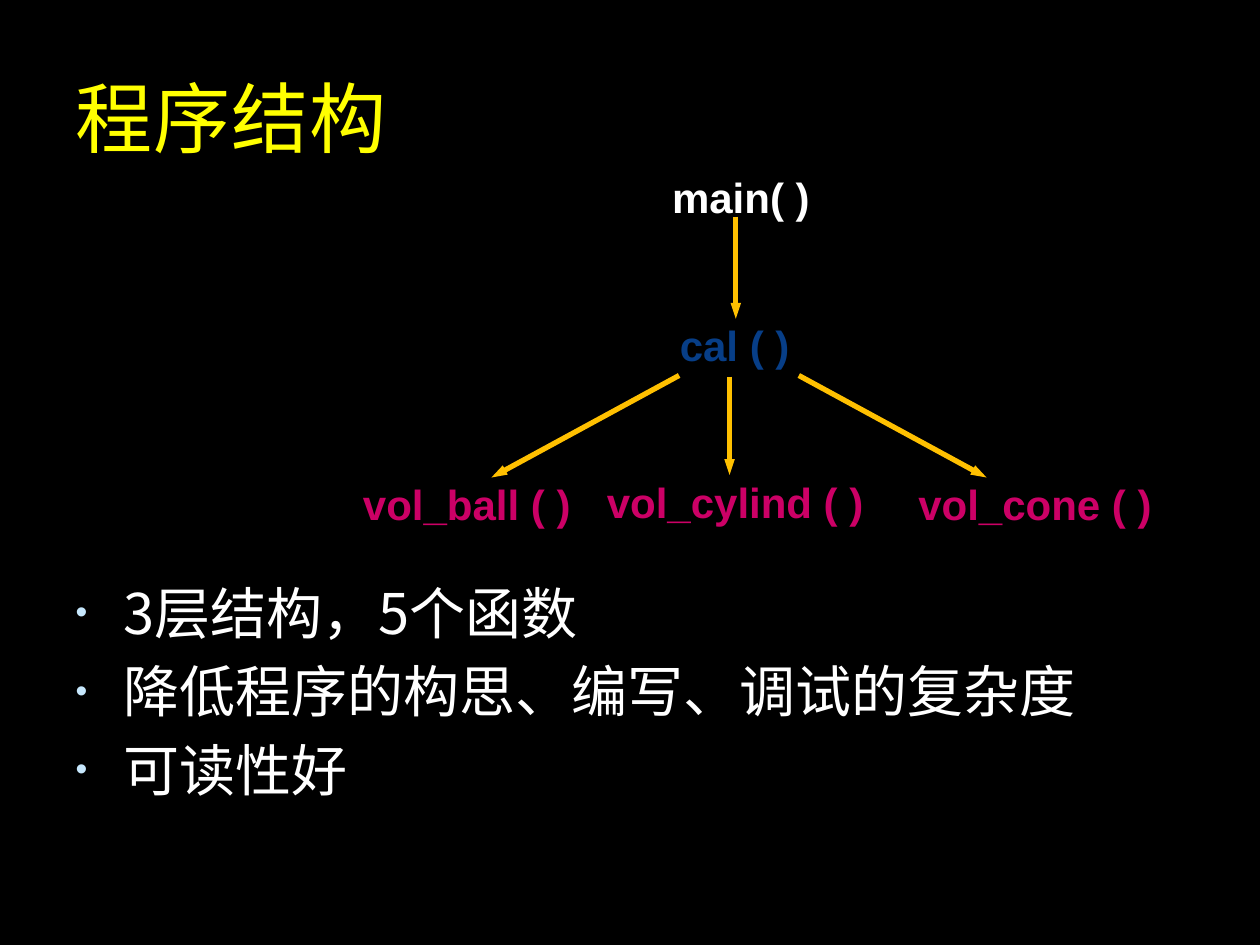
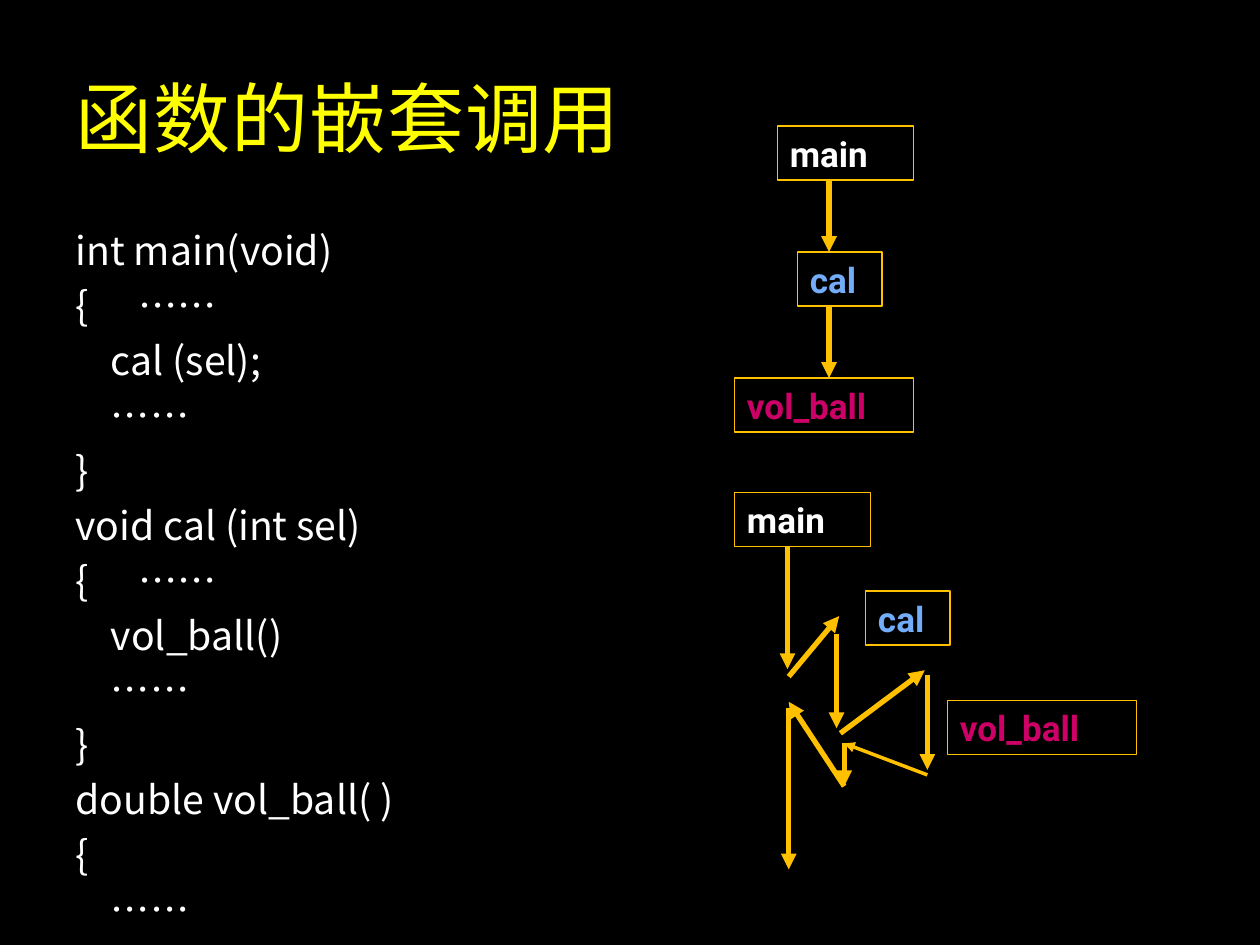
import dataclasses

import pptx
import pptx.dml.color
import pptx.enum.shapes
import pptx.enum.text
import pptx.oxml
import pptx.oxml.ns
import pptx.util

Inches = pptx.util.Inches
Pt = pptx.util.Pt
ALIGN = pptx.enum.text.PP_ALIGN
ANCHOR = pptx.enum.text.MSO_ANCHOR


@dataclasses.dataclass(frozen=True)
class Theme:
    background: str = "000000"
    title: str = "FFFF00"
    text: str = "FFFFFF"
    bullet: str = "C6E7FC"
    accent: str = "FFC000"
    cal_dark: str = "073E87"
    cal_light: str = "73ACF8"
    volume: str = "CC0066"
    title_font: str = "Calibri"
    body_font: str = "Noto Sans CJK SC"
    tree_font: str = "Arial"
    box_font: str = "Roboto"
    title_size: float = 44
    list_size: float = 32
    code_size: float = 22.4
    tree_size: float = 24
    box_size: float = 20


THEME = Theme()


def rgb(color):
    return pptx.dml.color.RGBColor.from_string(color)


def add_xml(parent, tag, **attrs):
    child = pptx.oxml.ns.qn(tag)
    element = parent.makeelement(child, {k: str(v) for k, v in attrs.items()})
    parent.append(element)
    return element


def set_all(target, values):
    for name, value in values.items():
        setattr(target, name, value)


def add_run(p, text, font, size, color, bold=False):
    r = p.add_run()
    r.text = text
    set_all(r.font, {"name": font, "size": Pt(size), "bold": bold})
    r.font.color.rgb = rgb(color)
    return r


def use_east_asian_font(r):
    add_xml(r.font._element, "a:ea", typeface=THEME.body_font)


def place(sp, left, top, width, height):
    set_all(sp, {"left": Inches(left), "top": Inches(top),
                 "width": Inches(width), "height": Inches(height)})


def add_slide(prs, title):
    s = prs.slides.add_slide(prs.slide_layouts[1])
    sp = s.shapes.title
    place(sp, 0.5, 0.3, 8.5, 1.25)
    tf = sp.text_frame
    set_all(tf, {"vertical_anchor": ANCHOR.MIDDLE, "word_wrap": True,
                 "auto_size": pptx.enum.text.MSO_AUTO_SIZE.NONE})
    p = tf.paragraphs[0]
    p.alignment = ALIGN.LEFT
    r = add_run(p, title, THEME.title_font, THEME.title_size, THEME.title)
    r.font._element.set("spc", "50")
    use_east_asian_font(r)
    return s


def fill_body(s, box, lines, size, style_paragraph):
    sp = s.placeholders[1]
    place(sp, *box)
    tf = sp.text_frame
    set_all(tf, {"vertical_anchor": ANCHOR.TOP, "word_wrap": True,
                 "auto_size": pptx.enum.text.MSO_AUTO_SIZE.NONE})
    for i, line in enumerate(lines):
        p = tf.add_paragraph() if i else tf.paragraphs[0]
        set_all(p, {"alignment": ALIGN.LEFT, "line_spacing": Pt(1.2 * size),
                    "space_before": Pt(0.2 * size)})
        text = style_paragraph(p, line)
        use_east_asian_font(add_run(p, text, THEME.body_font, size, THEME.text))


def set_indent(p, left, first=0):
    pPr = p._p.get_or_add_pPr()
    pPr.set("marL", str(Inches(left)))
    pPr.set("indent", str(Inches(first)))
    return pPr


def style_bullet(p, text):
    pPr = set_indent(p, 0.38, -0.38)
    add_xml(add_xml(pPr, "a:buClr"), "a:srgbClr", val=THEME.bullet)
    add_xml(pPr, "a:buSzPct", val=60000)
    add_xml(pPr, "a:buFont", typeface=THEME.tree_font)
    add_xml(pPr, "a:buChar", char="•")
    return text


def style_code(p, line):
    indent, text, tab = line
    pPr = set_indent(p, indent)
    add_xml(pPr, "a:buNone")
    if tab:
        add_xml(add_xml(pPr, "a:tabLst"), "a:tab", pos=Inches(tab), algn="l")
    return text


def add_box(s, box, text, color, line, font, size, align):
    sp = s.shapes.add_shape(pptx.enum.shapes.MSO_SHAPE.RECTANGLE,
                            *[Inches(v) for v in box])
    sp.shadow.inherit = False
    sp.fill.background()
    sp.line.color.rgb = rgb(line)
    sp.line.width = Pt(0.75)
    tf = sp.text_frame
    set_all(tf, {"vertical_anchor": ANCHOR.TOP, "word_wrap": True})
    p = tf.paragraphs[0]
    p.alignment = align
    add_run(p, text, font, size, color, bold=True)


def add_tree_label(s, box, text, color):
    add_box(s, box, text, color, THEME.background,
            THEME.tree_font, THEME.tree_size, ALIGN.CENTER)


def add_call_box(s, left, top, width, text, color):
    add_box(s, (left, top, width, 0.43), text, color, THEME.accent,
            THEME.box_font, THEME.box_size, ALIGN.LEFT)


def add_arrow(s, x1, y1, x2, y2, width=3, head="med"):
    cn = s.shapes.add_connector(pptx.enum.shapes.MSO_CONNECTOR.STRAIGHT,
                                *[Inches(v) for v in (x1, y1, x2, y2)])
    cn.line.color.rgb = rgb(THEME.accent)
    cn.line.width = Pt(width)
    add_xml(cn.line._get_or_add_ln(), "a:tailEnd", type="triangle", w=head, len="med")
    add_xml(cn._element.spPr, "a:effectLst")


def build_structure(prs):
    s = add_slide(prs, "程序结构")
    points = ["3层结构，5个函数", "降低程序的构思、编写、调试的复杂度", "可读性好"]
    fill_body(s, (0.5, 4.54, 9, 2.16), points, THEME.list_size, style_bullet)
    labels = [
        ((4.97, 1.31, 1.82, 0.81), "main( )", THEME.text),
        ((4.92, 2.49, 1.82, 0.81), "cal ( )", THEME.cal_dark),
        ((2.64, 3.75, 2.13, 0.65), "vol_ball ( )", THEME.volume),
        ((4.7, 3.73, 2.27, 0.59), "vol_cylind ( )", THEME.volume),
        ((7.03, 3.75, 2.37, 0.65), "vol_cone ( )", THEME.volume),
    ]
    for label in labels:
        add_tree_label(s, *label)
    for ends in [(5.84, 1.72, 5.84, 2.53), (5.39, 2.98, 3.9, 3.79),
                 (5.79, 2.99, 5.79, 3.77), (6.34, 2.98, 7.83, 3.79)]:
        add_arrow(s, *ends, head="sm")


def build_nested_calls(prs):
    s = add_slide(prs, "函数的嵌套调用")
    step = 0.28
    code = [
        (0, "int main(void)", None),
        (0, "{\t……", 0.31),
        (step, "cal (sel);", None),
        (step, "……", None),
        (0, "}", None),
        (0, "void cal (int sel)", None),
        (0, "{\t……", 1),
        (step, "vol_ball()", None),
        (step, "……", None),
        (0, "}", None),
        (0, "double vol_ball( )", None),
        (0, "{", None),
        (step, "……", None),
    ]
    fill_body(s, (0.5, 1.75, 4.26, 5.62), code, THEME.code_size, style_code)

    functions = [("main", THEME.text), ("cal", THEME.cal_light),
                 ("vol_ball", THEME.volume)]
    chain = [(6.17, 1, 1.08), (6.33, 2, 0.67), (5.83, 3, 1.42)]
    timeline = [(5.83, 3.91, 1.08), (6.87, 4.69, 0.67), (7.52, 5.56, 1.5)]
    for boxes in (chain, timeline):
        for box, function in zip(boxes, functions):
            add_call_box(s, *box, *function)

    for top in (1.42, 2.42):
        add_arrow(s, 6.58, top, 6.58, top + 0.58)
    for ends in [(6.25, 4.34, 6.25, 5.31), (6.26, 5.37, 6.66, 4.89),
                 (6.64, 5.03, 6.64, 5.78), (6.7, 6.24, 6.26, 5.57),
                 (6.26, 5.62, 6.26, 6.9), (6.67, 5.82, 7.34, 5.32),
                 (7.36, 5.36, 7.36, 6.11), (6.7, 5.9, 6.7, 6.24)]:
        add_arrow(s, *ends)
    add_arrow(s, 7.36, 6.15, 6.7, 5.9, width=2)


def main():
    prs = pptx.Presentation()
    set_all(prs, {"slide_width": Inches(10), "slide_height": Inches(7.5)})
    fill = prs.slide_master.background.fill
    fill.solid()
    fill.fore_color.rgb = rgb(THEME.background)
    build_structure(prs)
    build_nested_calls(prs)
    prs.save("out.pptx")


if __name__ == "__main__":
    main()
